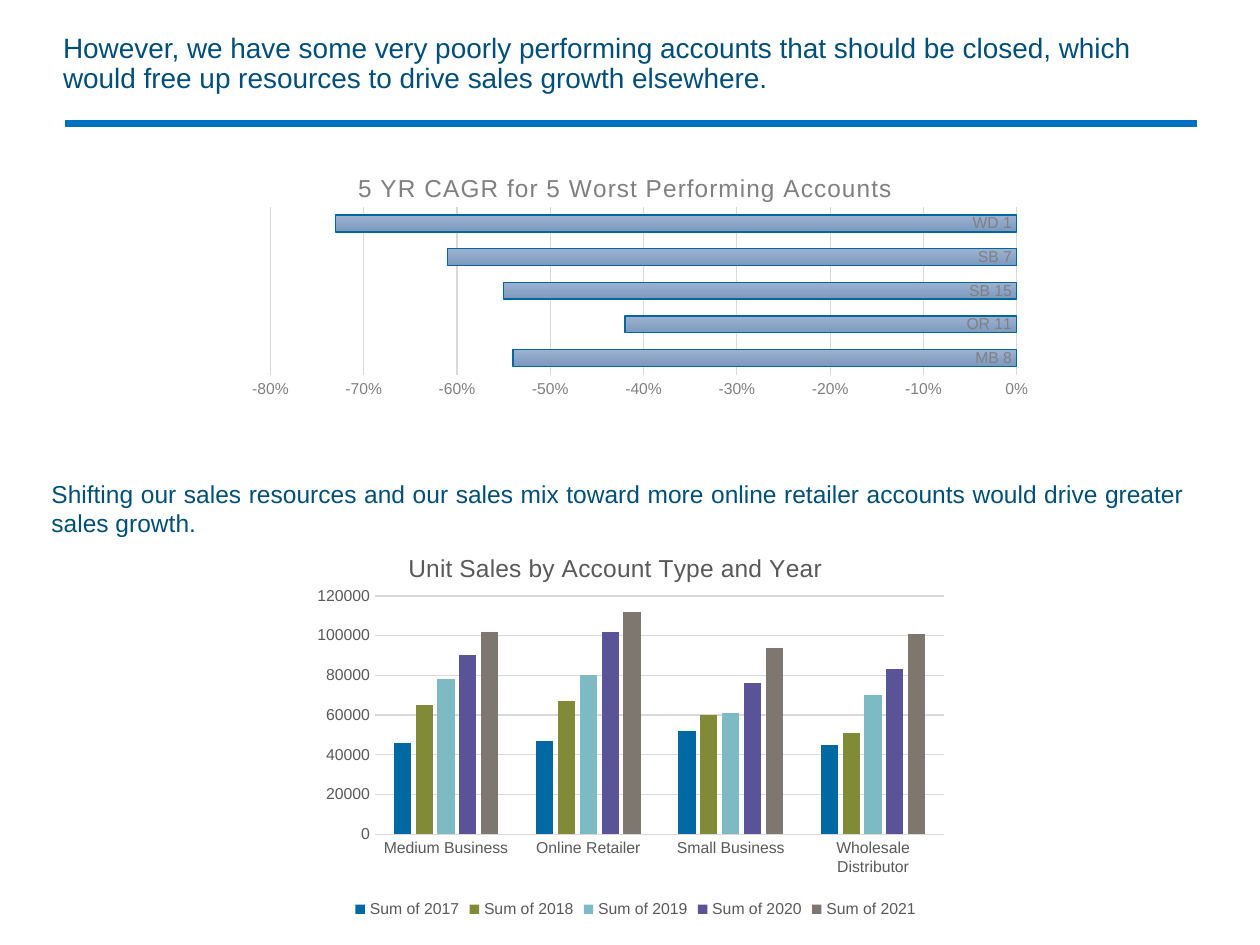
from lxml.etree import SubElement
from pptx import Presentation
from pptx.chart.data import CategoryChartData
from pptx.dml.color import RGBColor
from pptx.enum.chart import XL_CHART_TYPE, XL_LEGEND_POSITION, XL_TICK_MARK
from pptx.enum.shapes import MSO_CONNECTOR
from pptx.enum.text import MSO_ANCHOR, PP_ALIGN
from pptx.oxml import parse_xml
from pptx.oxml.ns import nsdecls, qn
from pptx.util import Inches, Pt

COLORS = {"navy": "004F7A", "rule": "0070C0", "grid": "D9D9D9", "gray": "808080",
          "dark": "595959", "bar_top": "9DB2D0", "bar_bottom": "7C99BF", "bar_line": "00679F"}
SERIES_COLORS = ["0069A3", "818A37", "7DBAC4", "5A5397", "7E776F"]


def set_font(font, size, color):
    for name, value in {"name": "Arial", "size": Pt(size), "bold": False}.items():
        setattr(font, name, value)
    font.color.rgb = RGBColor.from_string(COLORS[color])


def layout_xml(x, y, w=None, h=None):
    target = '<c:layoutTarget val="inner"/>' if w else ""
    size = f'<c:w val="{w}"/><c:h val="{h}"/>' if w else ""
    return parse_xml(
        f'<c:layout {nsdecls("c")}><c:manualLayout>{target}<c:xMode val="edge"/><c:yMode val="edge"/>'
        f'<c:x val="{x}"/><c:y val="{y}"/>{size}</c:manualLayout></c:layout>')


prs = Presentation()
prs.slide_width, prs.slide_height = Inches(10), Inches(7.5)
s = prs.slides.add_slide(prs.slide_layouts[5])

# Title
title = s.shapes.title
title.left, title.top, title.width, title.height = map(Inches, (0.5, 0.17, 9, 0.68))
tf = title.text_frame
tf.text = ("However, we have some very poorly performing accounts that should be closed, "
           "which would free up resources to drive sales growth elsewhere.")
for name, value in {"margin_left": 0, "margin_right": 0, "vertical_anchor": MSO_ANCHOR.MIDDLE,
                    "word_wrap": True}.items():
    setattr(tf, name, value)
p = tf.paragraphs[0]
p.alignment, p.line_spacing = PP_ALIGN.LEFT, 0.9
set_font(p.runs[0].font, 16, "navy")

# Rule under the title
rule = s.shapes.add_connector(MSO_CONNECTOR.STRAIGHT, Inches(0.52), Inches(0.98), Inches(9.5), Inches(0.98))
rule.line.color.rgb = RGBColor.from_string(COLORS["rule"])
rule.line.width = Pt(4.5)
SubElement(rule._element.spPr, qn("a:effectLst"))

# Second message
message = s.shapes.add_textbox(Inches(0.31), Inches(3.75), Inches(9.19), Inches(0.57))
tf = message.text_frame
tf.word_wrap = True
p = tf.paragraphs[0]
p.alignment = PP_ALIGN.JUSTIFY
r = p.add_run()
r.text = ("Shifting our sales resources and our sales mix toward more online retailer accounts "
          "would drive greater sales growth.")
set_font(r.font, 14, "navy")

# Charts
charts = [
    {"type": XL_CHART_TYPE.BAR_CLUSTERED, "at": (1.64, 1.19, 6.52, 2.41), "color": "gray",
     "title": "5 YR CAGR for 5 Worst Performing Accounts", "title_at": (0.18, 0.06), "spacing": "50",
     "plot": (0.078, 0.187, 0.914, 0.554), "gap": 100, "overlap": 0,
     "scale": (-0.8, 0, 0.1), "format": "0%",
     "categories": ["MB 8", "OR 11", "SB 15", "SB 7", "WD 1"],
     "series": {"Series 1": [-0.54, -0.42, -0.55, -0.61, -0.73]}},
    {"type": XL_CHART_TYPE.COLUMN_CLUSTERED, "at": (2.17, 4.32, 5.75, 3.01), "color": "dark",
     "title": "Unit Sales by Account Type and Year", "title_at": (0.18, 0.01), "spacing": "0",
     "plot": (0.14, 0.136, 0.786, 0.629), "gap": 219, "overlap": -27,
     "scale": (0, 120000, 20000), "format": "General",
     "categories": ["Medium Business", "Online Retailer", "Small Business", "Wholesale Distributor"],
     "series": {"Sum of 2017": [46000, 47000, 52000, 45000],
                "Sum of 2018": [65000, 67000, 60000, 51000],
                "Sum of 2019": [78000, 80000, 61000, 70000],
                "Sum of 2020": [90000, 102000, 76000, 83000],
                "Sum of 2021": [102000, 112000, 94000, 101000]}},
]
for spec in charts:
    data = CategoryChartData()
    data.categories = spec["categories"]
    for name, values in spec["series"].items():
        data.add_series(name, values)
    chart = s.shapes.add_chart(spec["type"], *map(Inches, spec["at"]), data).chart
    set_font(chart.font, 9, spec["color"])

    # Chart title
    chart.has_title = True
    p = chart.chart_title.text_frame.paragraphs[0]
    r = p.add_run()
    r.text = spec["title"]
    set_font(r.font, 14, spec["color"])
    r.font._element.set("spc", spec["spacing"])
    chart.chart_title.include_in_layout = False
    title_xml = chart.chart_title._element
    for old in title_xml.findall(qn("c:layout")):
        title_xml.remove(old)
    title_xml.find(qn("c:tx")).addnext(layout_xml(*spec["title_at"]))

    # Plot area
    plot_area = chart._chartSpace.chart.plotArea
    for old in plot_area.findall(qn("c:layout")):
        plot_area.remove(old)
    plot_area.insert(0, layout_xml(*spec["plot"]))
    plot = chart.plots[0]
    for name, value in {"gap_width": spec["gap"], "overlap": spec["overlap"],
                        "vary_by_categories": False}.items():
        setattr(plot, name, value)

    # Axes
    cat, val = chart.category_axis, chart.value_axis
    for axis in (cat, val):
        axis.major_tick_mark = axis.minor_tick_mark = XL_TICK_MARK.NONE
        set_font(axis.tick_labels.font, 9, spec["color"])
    cat.has_major_gridlines = False
    val.has_major_gridlines = True
    val.minimum_scale, val.maximum_scale, val.major_unit = spec["scale"]
    val.tick_labels.number_format = spec["format"]
    val.tick_labels.number_format_is_linked = False
    val.format.line.fill.background()
    for line in (cat.format.line, val.major_gridlines.format.line):
        line.color.rgb = RGBColor.from_string(COLORS["grid"])
        line.width = Pt(0.75)

    # Series
    for series, color in zip(plot.series, SERIES_COLORS):
        series.invert_if_negative = False
        fill = series.format.fill
        if len(spec["series"]) > 1:
            fill.solid()
            fill.fore_color.rgb = RGBColor.from_string(color)
        else:
            fill.gradient()
            fill.gradient_angle = 270
            for stop, key, position in zip(fill.gradient_stops, ("bar_top", "bar_bottom"), (0, 1)):
                stop.color.rgb = RGBColor.from_string(COLORS[key])
                stop.position = position
            series.format.line.color.rgb = RGBColor.from_string(COLORS["bar_line"])
            series.format.line.width = Pt(0.75)

    # Legend
    chart.has_legend = len(spec["series"]) > 1
    if chart.has_legend:
        chart.legend.position = XL_LEGEND_POSITION.BOTTOM
        chart.legend.include_in_layout = False
        set_font(chart.legend.font, 9, spec["color"])

prs.save("out.pptx")
